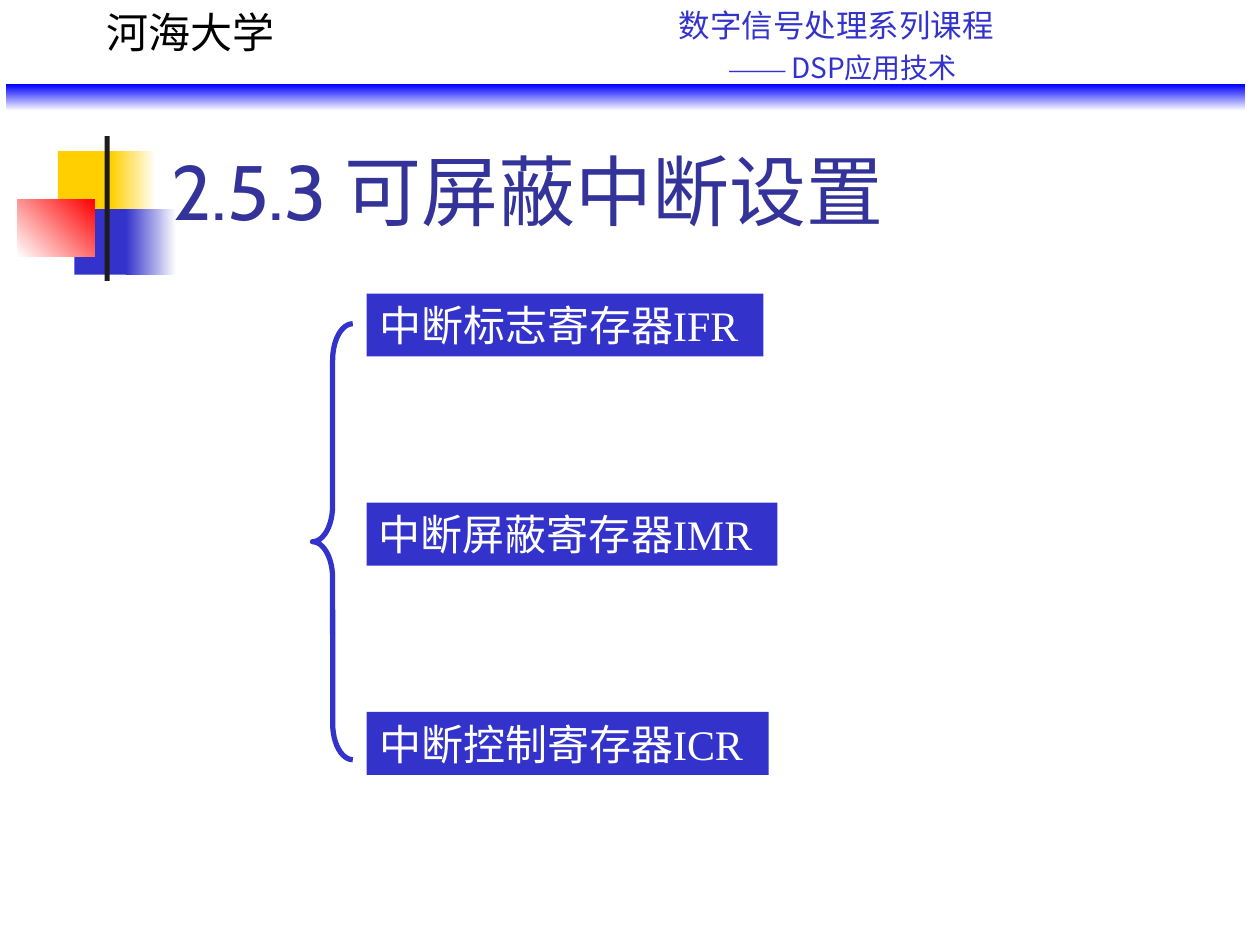
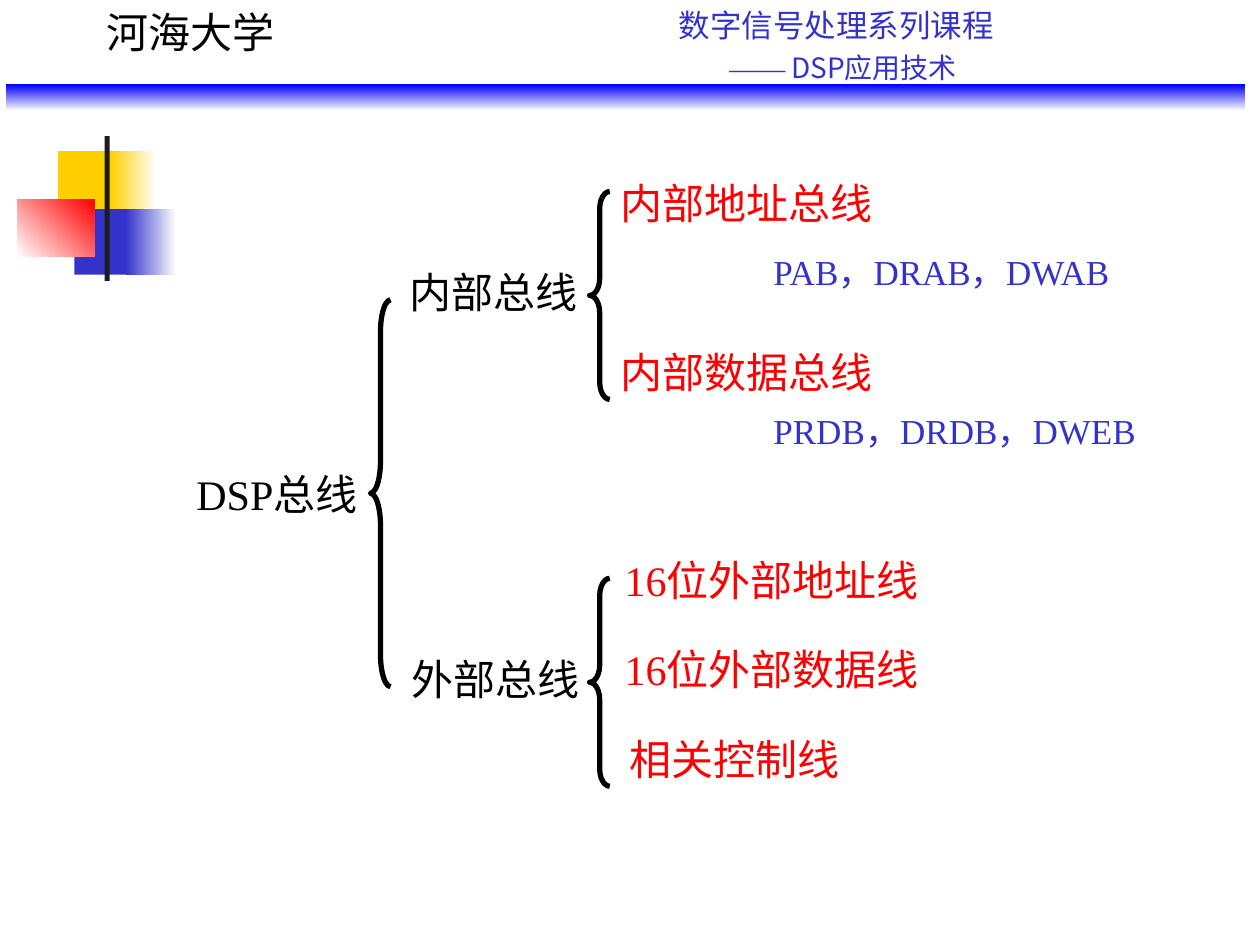
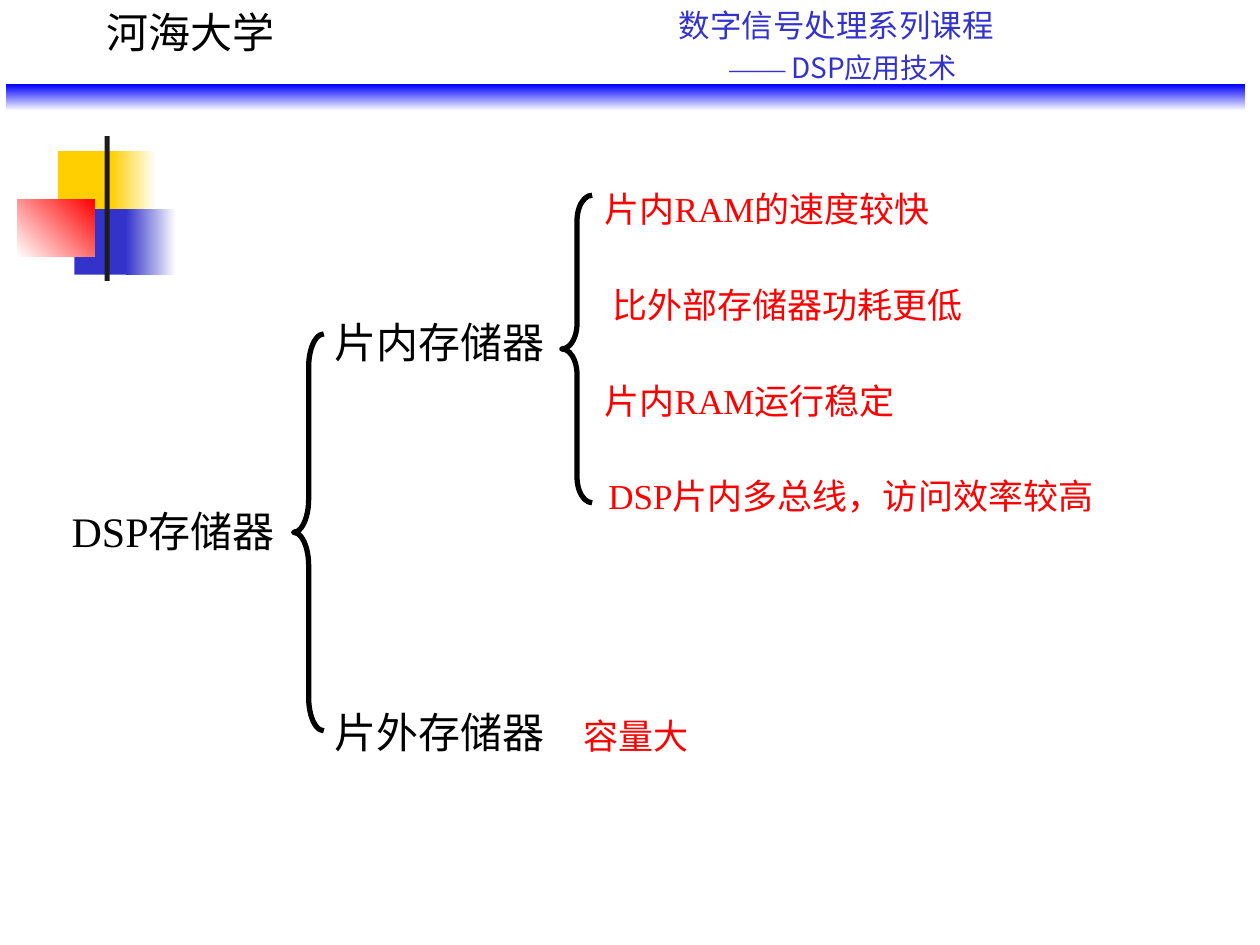
from pptx import Presentation
from pptx.dml.color import RGBColor
from pptx.enum.shapes import MSO_SHAPE
from pptx.enum.text import MSO_ANCHOR, MSO_AUTO_SIZE
from pptx.oxml.ns import qn
from pptx.util import Inches, Pt

RECT = MSO_SHAPE.RECTANGLE
LEFT_BRACE = MSO_SHAPE.LEFT_BRACE
BOTTOM = MSO_ANCHOR.BOTTOM
FIT_SHAPE = MSO_AUTO_SIZE.SHAPE_TO_FIT_TEXT
SERIF, SANS, TITLE = "Times New Roman", "Noto Sans CJK SC", "Cabin"
SLACK = 0.02
COLORS = {
    "white": "FFFFFF",
    "black": "000000",
    "ink": "1C1C1C",
    "indigo": "3333CC",
    "title": "333399",
    "blue": "0000FF",
    "red": "FF0000",
    "yellow": "FFCF01",
}


def rgb(name):
    """Return the named palette colour."""
    return RGBColor.from_string(COLORS[name])


def add_run(p, text, size, color, font=SERIF, east=SANS):
    """Append a run with its Latin and East Asian fonts."""
    r = p.add_run()
    r.text = text
    r.font.size = Pt(size)
    r.font.name = font
    r.font.color.rgb = rgb(color)
    ea = r._r.get_or_add_rPr().makeelement(qn("a:ea"), {"typeface": east})
    r.font._element.find(qn("a:latin")).addnext(ea)


def add_box(s, x, y, w, h):
    """Add a wrapping text box and return its text frame."""
    tf = s.shapes.add_textbox(Inches(x), Inches(y), Inches(w), Inches(h)).text_frame
    tf.word_wrap = True
    return tf


def add_label(s, x, y, w, text, color="black", size=24, fill=None):
    """Add a one-line label, with a little slack so that it never wraps."""
    h = 0.5 if size == 24 else 0.44
    sp = s.shapes.add_textbox(Inches(x - SLACK / 2), Inches(y), Inches(w + SLACK), Inches(h))
    if fill:
        sp.fill.solid()
        sp.fill.fore_color.rgb = rgb(fill)
    tf = sp.text_frame
    tf.word_wrap = False
    tf.auto_size = FIT_SHAPE
    p = tf.paragraphs[0]
    p.space_before = Pt(size / 4)
    add_run(p, text, size, color)


def add_rect(s, x, y, w, h, start, end=None, angle=0):
    """Add a borderless rectangle, solid or fading from start to end."""
    sp = s.shapes.add_shape(RECT, Inches(x), Inches(y), Inches(w), Inches(h))
    sp.shadow.inherit = False
    sp.line.fill.background()
    if end is None:
        sp.fill.solid()
        sp.fill.fore_color.rgb = rgb(start)
        return
    sp.fill.gradient()
    sp.fill.gradient_angle = angle
    for stop, color in zip(sp.fill.gradient_stops, (start, end)):
        stop.color.rgb = rgb(color)


def add_brace(s, x, y, w, h, color="black"):
    """Add a left brace whose curls are a twelfth of its height."""
    sp = s.shapes.add_shape(LEFT_BRACE, Inches(x), Inches(y), Inches(w), Inches(h))
    sp.shadow.inherit = False
    sp.adjustments[0] = h / 12 / w
    sp.fill.background()
    sp.line.color.rgb = rgb(color)
    sp.line.width = Pt(3)


def add_emblem(s, x, y):
    """Draw the overlapping colour blocks and the upright bar."""
    add_rect(s, x + 0.32, y + 0.12, 0.48, 0.52, "yellow")
    add_rect(s, x + 0.74, y + 0.12, 0.36, 0.52, "yellow", "white")
    add_rect(s, x + 0.45, y + 0.58, 0.46, 0.52, "indigo")
    add_rect(s, x + 0.86, y + 0.58, 0.4, 0.52, "indigo", "white")
    add_rect(s, x, y + 0.5, 0.61, 0.46, "white", "red", 45)
    add_rect(s, x + 0.69, y, 0.04, 1.15, "ink")


def add_header(s, x, y, w):
    """Draw the course name, the school name and the fading band."""
    tf = add_box(s, x + 5.24, y, 4.51, 0.8)
    p = tf.paragraphs[0]
    p.space_before = Pt(4.5)
    add_run(p, "数字信号处理系列课程", 18, "indigo", SANS)
    p = tf.add_paragraph()
    p.space_before = Pt(4)
    p._p.get_or_add_pPr().set("marL", str(Inches(0.4)))
    add_run(p, "——", 16, "indigo", east=SERIF)
    add_run(p, " DSP应用技术", 16, "indigo", SANS)
    add_rect(s, x, y + 0.67, w, 0.21, "blue", "white", 270)
    add_label(s, x + 0.71, y, 1.53, "河海大学")


def add_title(s, x, y, w, h, text):
    """Add the slide title, resting on the bottom of its box."""
    tf = add_box(s, x, y, w, h)
    tf.vertical_anchor = BOTTOM
    add_run(tf.paragraphs[0], text, 44, "title", TITLE)


def new_slide(prs):
    """Add a blank slide with the shared emblem and header."""
    s = prs.slides.add_slide(prs.slide_layouts[6])
    add_emblem(s, 0.14, 1.08)
    add_header(s, 0.05, 0, 9.83)
    return s


def add_registers(s, x, y):
    """Draw the three interrupt registers beside their brace."""
    registers = [("标志寄存器IFR", 3.13), ("屏蔽寄存器IMR", 3.24), ("控制寄存器ICR", 3.17)]
    add_brace(s, x, y + 0.24, 0.32, 3.46, "indigo")
    for i, (name, w) in enumerate(registers):
        add_label(s, x + 0.44, y + i * 1.66, w, "中断" + name, "white", fill="indigo")


def add_bus_tree(s, x, y):
    """Draw the tree of internal and external buses."""
    add_label(s, x, y + 2.31, 1.56, "DSP总线")
    add_brace(s, x + 1.47, y + 1.02, 0.16, 3.07)
    add_label(s, x + 1.69, y + 0.71, 1.53, "内部总线")
    add_label(s, x + 1.71, y + 3.78, 1.53, "外部总线")
    for dy in (0.16, 3.23):
        add_brace(s, x + 3.21, y + dy, 0.16, 1.65)
    add_label(s, x + 3.37, y, 2.2, "内部地址总线", "red")
    add_label(s, x + 4.58, y + 0.58, 3.19, "PAB，DRAB，DWAB", "indigo", 20)
    add_label(s, x + 3.37, y + 1.34, 2.2, "内部数据总线", "red")
    add_label(s, x + 4.58, y + 1.84, 3.34, "PRDB，DRDB，DWEB", "indigo", 20)
    lines = [("16位外部地址线", 3.4, 2.61), ("16位外部数据线", 3.4, 2.61), ("相关控制线", 3.44, 1.86)]
    for i, (text, dx, w) in enumerate(lines):
        add_label(s, x + dx, y + 2.99 + i * 0.71, w, text, "red")


def add_memory_tree(s, x, y):
    """Draw the tree of on-chip and off-chip memory."""
    add_label(s, x, y + 2.52, 1.89, "DSP存储器")
    add_brace(s, x + 1.85, y + 1.21, 0.24, 3.15)
    add_label(s, x + 2.09, y + 1.02, 1.86, "片内存储器")
    add_label(s, x + 2.09, y + 4.12, 1.86, "片外存储器")
    add_brace(s, x + 3.98, y + 0.11, 0.24, 2.44)
    merits = [
        ("片内RAM的速度较快", 4.23, 2.91),
        ("比外部存储器功耗更低", 4.29, 2.98),
        ("片内RAM运行稳定", 4.23, 2.64),
        ("DSP片内多总线，访问效率较高", 4.26, 4.11),
    ]
    for i, (text, dx, w) in enumerate(merits):
        add_label(s, x + dx, y + i * 0.76, w, text, "red", 20)
    add_label(s, x + 4.06, y + 4.18, 1.03, "容量大", "red", 20)


def main():
    """Build and save the three slides."""
    prs = Presentation()
    prs.slide_width, prs.slide_height = Inches(10), Inches(7.5)
    s = new_slide(prs)
    add_title(s, 1.26, 0.67, 8.52, 1.25, "2.5.3 可屏蔽中断设置")
    add_registers(s, 2.48, 2.33)
    add_bus_tree(new_slide(prs), 1.47, 1.36)
    add_memory_tree(new_slide(prs), 0.48, 1.44)
    prs.save("out.pptx")


if __name__ == "__main__":
    main()
